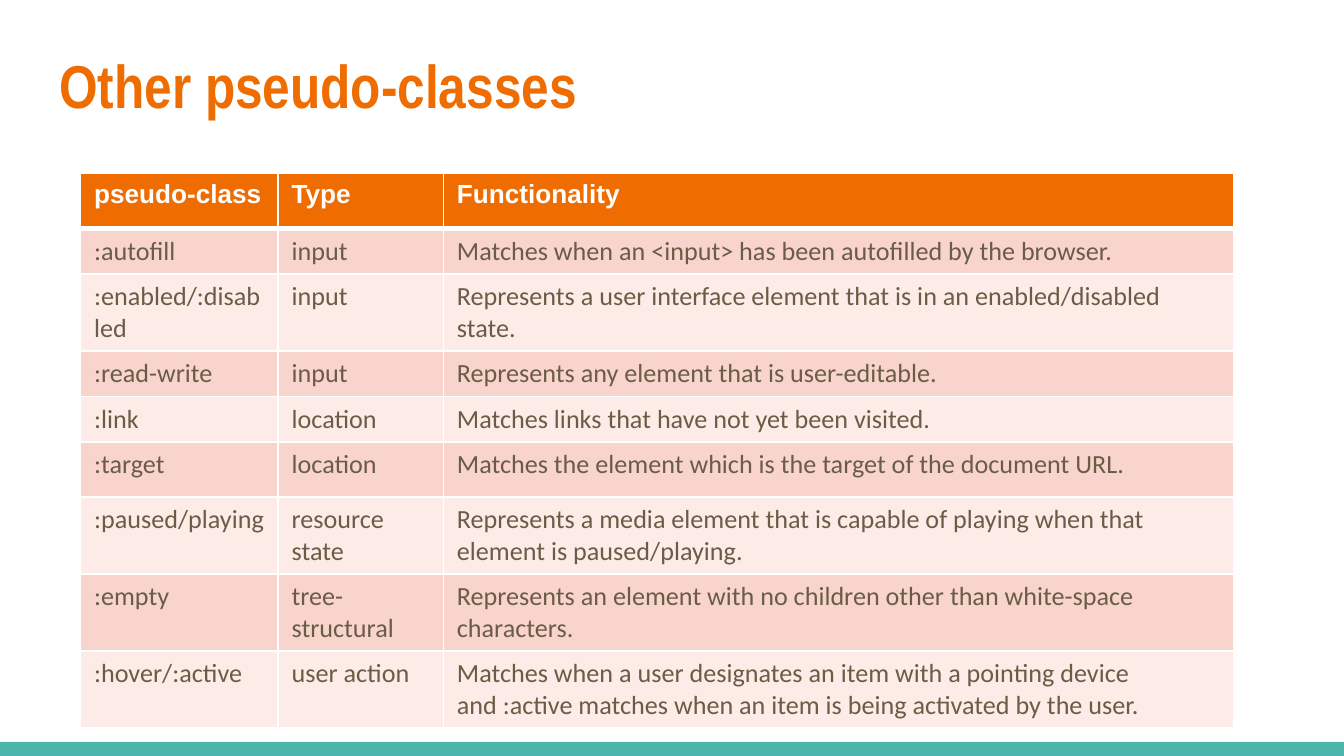
"""Build a slide with a table of CSS pseudo-classes."""
import lxml.etree
import pptx
import pptx.dml.color
import pptx.enum.shapes
import pptx.enum.text
import pptx.oxml
import pptx.oxml.ns
import pptx.util
from pptx.util import Inches


def color(value):
    return pptx.dml.color.RGBColor.from_string(value)


def set_font(paragraph, name, size, value, bold):
    font = paragraph.font
    font.name = name
    font.size = pptx.util.Pt(size)
    font.bold = bold
    font.color.rgb = color(value)


ORANGE = "EF6C00"
BORDER_SIDES = ["lnL", "lnR", "lnT", "lnB"]
COLUMN_WIDTHS = [1.47, 1.23, 5.88]
ROW_HEIGHTS = [0.41, 0.33, 0.32, 0.34, 0.31, 0.41, 0.41, 0.41, 0.41]
ROWS = [
    ("pseudo-class", "Type", "Functionality"),
    (":autofill", "input", "Matches when an <input> has been autofilled by the browser."),
    (":enabled/:disabled", "input",
     "Represents a user interface element that is in an enabled/disabled state."),
    (":read-write", "input", "Represents any element that is user-editable."),
    (":link", "location", "Matches links that have not yet been visited."),
    (":target", "location", "Matches the element which is the target of the document URL."),
    (":paused/playing", "resource state",
     "Represents a media element that is capable of playing when that element is paused/playing."),
    (":empty", "tree-structural",
     "Represents an element with no children other than white-space characters."),
    (":hover/:active", "user action",
     "Matches when a user designates an item with a pointing device "
     "and :active matches when an item is being activated by the user."),
]

presentation = pptx.Presentation()
presentation.slide_width = Inches(10)
presentation.slide_height = Inches(10) * 9 // 16
slide = presentation.slides.add_slide(presentation.slide_layouts[5])

footer_bar = slide.shapes.add_shape(
    pptx.enum.shapes.MSO_SHAPE.RECTANGLE, Inches(0), Inches(5.52), Inches(10), Inches(0.11))
footer_bar.shadow.inherit = False
footer_bar.fill.solid()
footer_bar.fill.fore_color.rgb = color("4DB6AC")
footer_bar.line.fill.background()

title = slide.shapes.title
title.left, title.top = Inches(0.34), Inches(0.24)
title.width, title.height = Inches(9.32), Inches(0.77)
frame = title.text_frame
frame.text = "Other pseudo-classes"
frame.margin_left = frame.margin_right = Inches(0.1)
frame.margin_top = frame.margin_bottom = Inches(0.1)
frame.vertical_anchor = pptx.enum.text.MSO_ANCHOR.MIDDLE
frame.auto_size = pptx.enum.text.MSO_AUTO_SIZE.NONE
frame.paragraphs[0].alignment = pptx.enum.text.PP_ALIGN.LEFT
set_font(frame.paragraphs[0], "Arial Narrow", 32.4, ORANGE, True)

table = slide.shapes.add_table(
    len(ROWS), len(COLUMN_WIDTHS), Inches(0.6), Inches(1.29),
    Inches(sum(COLUMN_WIDTHS)), Inches(sum(ROW_HEIGHTS))).table
for column, width in zip(table.columns, COLUMN_WIDTHS):
    column.width = Inches(width)
for row_index, (row, height, texts) in enumerate(zip(table.rows, ROW_HEIGHTS, ROWS)):
    row.height = Inches(height)
    is_header = row_index == 0
    band = "F9D4CC" if row_index % 2 else "FCEBE7"
    for cell, text in zip(row.cells, texts):
        cell.text = text
        cell.fill.solid()
        cell.fill.fore_color.rgb = color(ORANGE if is_header else band)
        paragraph = cell.text_frame.paragraphs[0]
        if is_header:
            set_font(paragraph, "Arial", 14, "FFFFFF", True)
        else:
            set_font(paragraph, "Calibri", 14, "695D46", False)
        properties = cell._tc.get_or_add_tcPr()
        for position, side in enumerate(BORDER_SIDES):
            heavy = (is_header and side == "lnB") or (row_index == 1 and side == "lnT")
            border = lxml.etree.Element(pptx.oxml.ns.qn(f"a:{side}"))
            border.set("w", str(pptx.util.Pt(3 if heavy else 1)))
            fill = lxml.etree.SubElement(border, pptx.oxml.ns.qn("a:solidFill"))
            lxml.etree.SubElement(fill, pptx.oxml.ns.qn("a:srgbClr")).set("val", "FFFFFF")
            properties.insert(position, border)

presentation.save("out.pptx")
